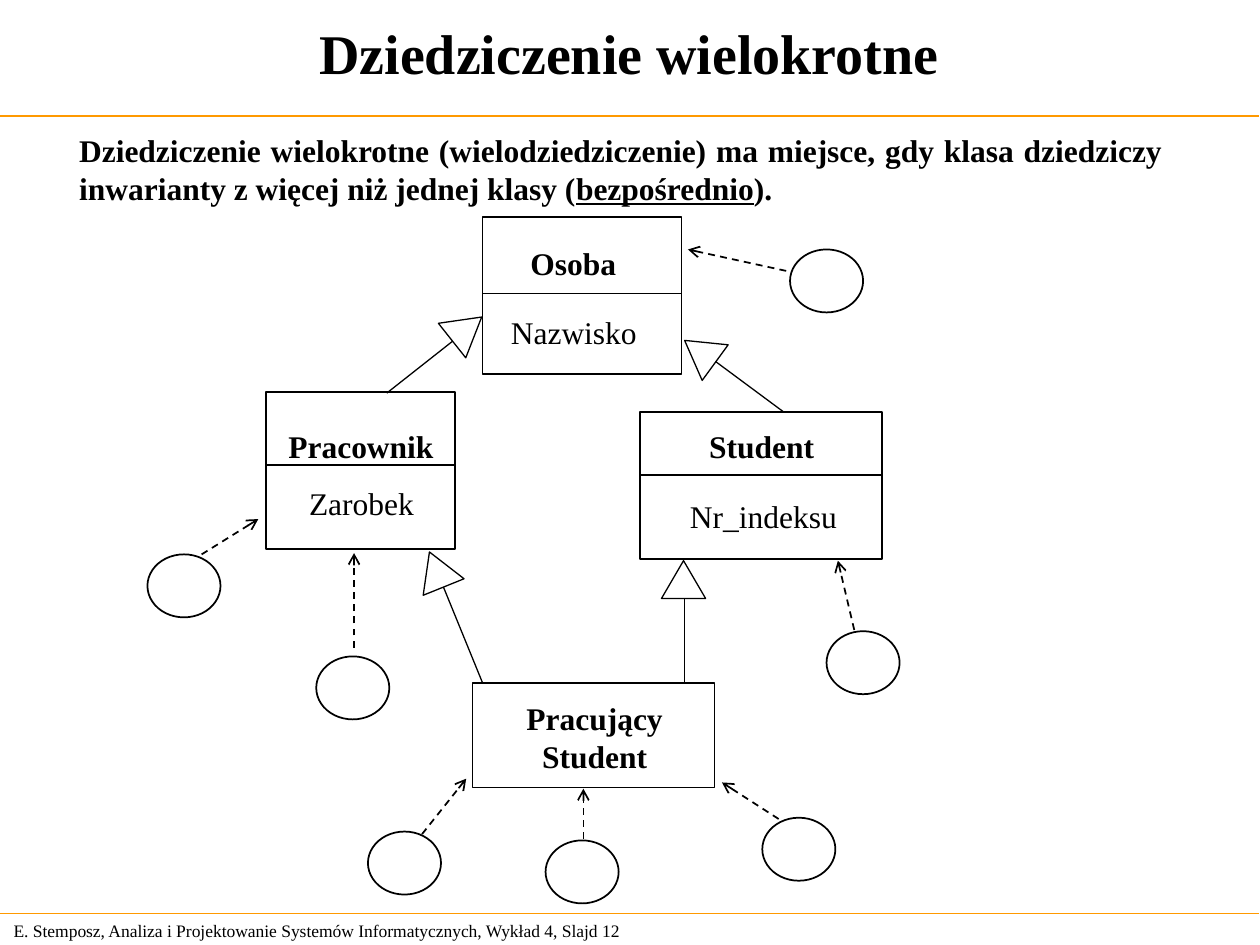
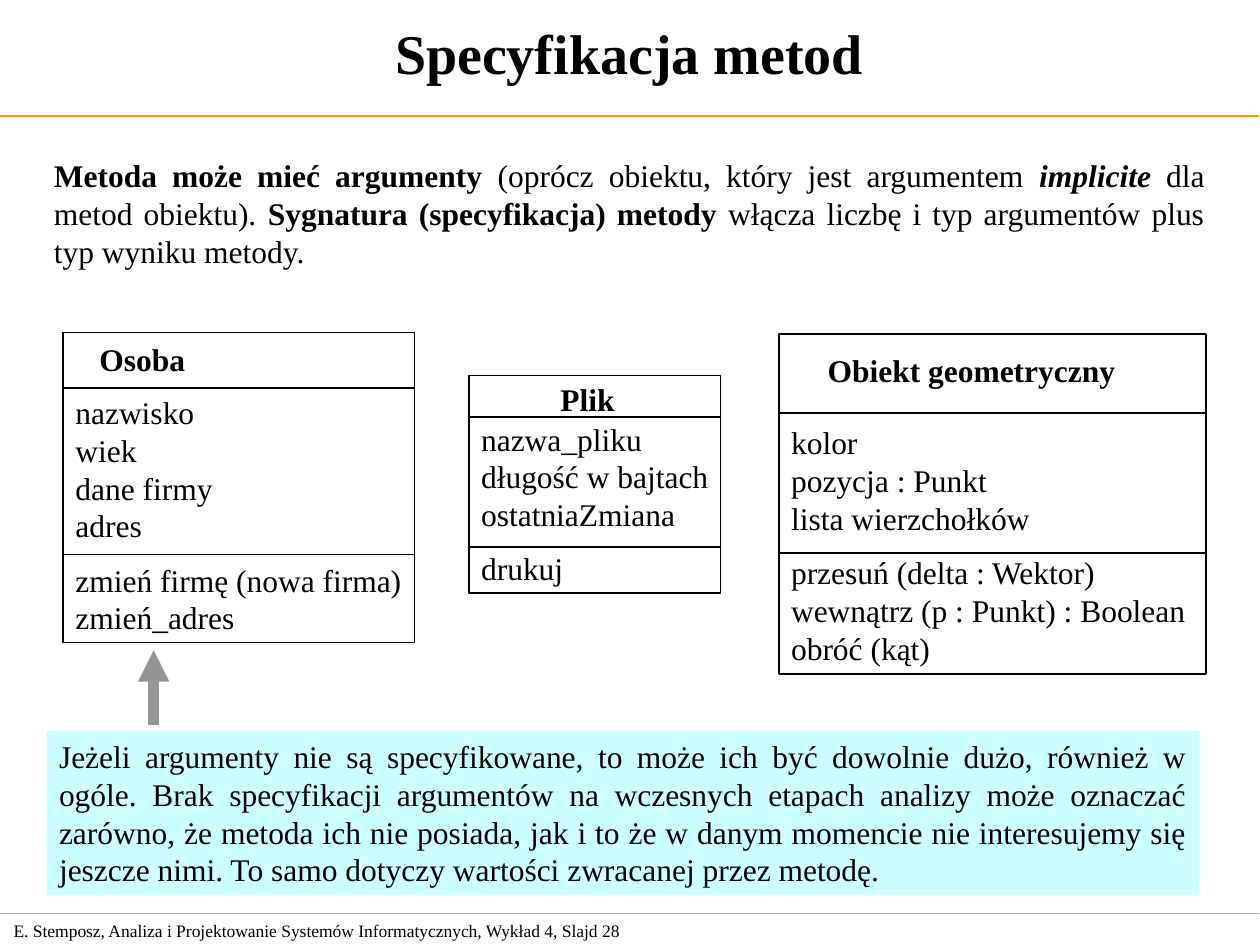
from dataclasses import dataclass

from lxml import etree
from pptx import Presentation
from pptx.dml.color import RGBColor
from pptx.enum.dml import MSO_LINE
from pptx.enum.shapes import MSO_CONNECTOR, MSO_SHAPE
from pptx.enum.text import MSO_ANCHOR, MSO_AUTO_SIZE, PP_ALIGN
from pptx.oxml.ns import qn
from pptx.util import Emu, Pt

RECTANGLE = MSO_SHAPE.RECTANGLE
ROUNDED = MSO_SHAPE.ROUNDED_RECTANGLE
OVAL = MSO_SHAPE.OVAL
TRIANGLE = MSO_SHAPE.ISOSCELES_TRIANGLE
STRAIGHT = MSO_CONNECTOR.STRAIGHT
DASH = MSO_LINE.DASH
TOP, MIDDLE = MSO_ANCHOR.TOP, MSO_ANCHOR.MIDDLE
LEFT, CENTER, JUSTIFY = PP_ALIGN.LEFT, PP_ALIGN.CENTER, PP_ALIGN.JUSTIFY
NO_AUTOSIZE = MSO_AUTO_SIZE.NONE
PX = 9144


@dataclass(frozen=True)
class Theme:
    font: str = "Times New Roman"
    ink: RGBColor = RGBColor(0x00, 0x00, 0x00)
    rule: RGBColor = RGBColor(0xFF, 0x99, 0x00)
    note: RGBColor = RGBColor(0xCC, 0xFF, 0xFF)
    pointer: RGBColor = RGBColor(0x96, 0x96, 0x96)
    title: int = 32
    body: int = 18
    footer: int = 10


THEME = Theme()
BOLD = {"bold": True}


def place(slide, preset, box, paragraphs=(), size=THEME.body, align=LEFT,
          fill=None, outline=None, **frame_format):
    left, top, width, height = [Emu(v * PX) for v in box]
    if preset is None:
        shape = slide.shapes.add_textbox(left, top, width, height)
    else:
        shape = slide.shapes.add_shape(preset, left, top, width, height)
        shape.shadow.inherit = False
        if fill is None:
            shape.fill.background()
        else:
            shape.fill.solid()
            shape.fill.fore_color.rgb = fill
        if outline is None:
            shape.line.fill.background()
        else:
            shape.line.color.rgb = THEME.ink
            shape.line.width = Pt(outline)
    frame = shape.text_frame
    settings = {"word_wrap": True, "auto_size": NO_AUTOSIZE, "vertical_anchor": TOP}
    for key, value in {**settings, **frame_format}.items():
        setattr(frame, key, value)
    for index, runs in enumerate(paragraphs):
        paragraph = frame.add_paragraph() if index else frame.paragraphs[0]
        paragraph.alignment = align
        for text, style in runs:
            run = paragraph.add_run()
            run.text = text
            run.font.color.rgb = THEME.ink
            for key, value in {"name": THEME.font, "size": Pt(size), **style}.items():
                setattr(run.font, key, value)
    return shape


def draw_line(slide, ends, color=THEME.ink, width=1, dash=None, head=None):
    line = slide.shapes.add_connector(STRAIGHT, *[Emu(v * PX) for v in ends])
    line.line.color.rgb = color
    line.line.width = Pt(width)
    if dash:
        line.line.dash_style = dash
    if head:
        outline = line.line._get_or_add_ln()
        etree.SubElement(outline, qn("a:tailEnd"), type=head)
    etree.SubElement(line._element.spPr, qn("a:effectLst"))


deck = Presentation()
deck.slide_width, deck.slide_height = Emu(1000 * PX), Emu(750 * PX)
slides = []
for heading, number in [("Dziedziczenie wielokrotne", 12), ("Specyfikacja metod", 28)]:
    slide = deck.slides.add_slide(deck.slide_layouts[5])
    title = slide.shapes.title
    title.left, title.top, title.width, title.height = [Emu(v * PX) for v in (0, -1, 999, 85)]
    title.text_frame.text = heading
    title.text_frame.auto_size = NO_AUTOSIZE
    title.text_frame.vertical_anchor = MIDDLE
    title_line = title.text_frame.paragraphs[0]
    title_line.alignment = CENTER
    title_line.font.color.rgb = THEME.ink
    for key, value in {"name": THEME.font, "size": Pt(THEME.title), "bold": True}.items():
        setattr(title_line.font, key, value)
    credit = f"E. Stemposz, Analiza i Projektowanie Systemów Informatycznych, Wykład 4, Slajd {number}"
    place(slide, None, (1, 725, 524, 27), [[(credit, {})]], THEME.footer,
          vertical_anchor=MIDDLE)
    for y, width in [(92, 1), (725, 0.75)]:
        draw_line(slide, (-1, y, 999, y), THEME.rule, width)
    slides.append(slide)

inheritance, methods = slides

place(inheritance, None, (53, 99, 880, 70), [[
    ("Dziedziczenie wielokrotne (wielodziedziczenie) ma miejsce, gdy klasa dziedziczy "
     "inwarianty z więcej niż jednej klasy (", BOLD),
    ("bezpośrednio", {"bold": True, "underline": True}),
    (").", BOLD),
]], align=JUSTIFY)

classes = [
    ((383, 172, 158, 125), ["Osoba"], (411, 189, 88, 40), 233, "Nazwisko", (394, 242, 123, 43)),
    ((211, 311, 150, 125), ["Pracownik"], (219, 334, 135, 40), 369, "Zarobek", (234, 378, 106, 43)),
    ((508, 327, 192, 117), ["Student"], (553, 334, 103, 40), 377, "Nr_indeksu", (536, 388, 140, 43)),
    ((375, 542, 192, 83), ["Pracujący", "Student"], (408, 550, 128, 70), None, None, None),
]
for frame_box, name, name_box, divider, attribute, attribute_box in classes:
    place(inheritance, RECTANGLE, frame_box, outline=1)
    place(inheritance, None, name_box, [[(word, BOLD)] for word in name],
          align=CENTER, word_wrap=False)
    if attribute:
        left, _, width, _ = frame_box
        draw_line(inheritance, (left, divider, left + width, divider))
        label = place(inheritance, ROUNDED, attribute_box, [[(attribute, {})]],
                      align=CENTER, word_wrap=False)
        label.adjustments[0] = 0.125

instances = [
    ((627, 198), (624, 215, 546, 198)),
    ((656, 501), (678, 500, 665, 445)),
    ((605, 649), (618, 650, 573, 621)),
    ((433, 667), (463, 666, 463, 626)),
    ((292, 660), (335, 662, 370, 618)),
    ((117, 440), (160, 440, 205, 412)),
    ((251, 521), (281, 514, 281, 439)),
]
for corner, arrow in instances:
    place(inheritance, OVAL, (*corner, 58, 50), outline=1)
    draw_line(inheritance, arrow, dash=DASH, head="arrow")

generalizations = [
    ((353, 246), 51.6, (359, 271, 307, 312)),
    ((538, 264), 306.1, (568, 287, 622, 327)),
    ((525, 445), 0, (543, 475, 543, 542)),
    ((329, 437), 338, (352, 466, 383, 542)),
]
for corner, angle, stem in generalizations:
    place(inheritance, TRIANGLE, (*corner, 35, 30), outline=0.75).rotation = angle
    draw_line(inheritance, stem, width=0.75)

place(methods, RECTANGLE, (37, 580, 915, 130), [[(
    "Jeżeli argumenty nie są specyfikowane, to może ich być dowolnie dużo, również w ogóle. "
    "Brak specyfikacji argumentów na wczesnych etapach analizy może oznaczać zarówno, że "
    "metoda ich nie posiada, jak i to że w danym momencie nie interesujemy się jeszcze nimi. "
    "To samo dotyczy wartości zwracanej przez metodę.", {})]], align=JUSTIFY, fill=THEME.note)

place(methods, None, (33, 119, 933, 100), [[
    ("Metoda może mieć argumenty", BOLD),
    (" (oprócz obiektu, który jest argumentem ", {}),
    ("implicite", {"bold": True, "italic": True}),
    (" dla metod obiektu). ", {}),
    ("Sygnatura (specyfikacja) metody", BOLD),
    (" włącza liczbę i typ argumentów plus typ wyniku metody.", {}),
]], align=JUSTIFY, vertical_anchor=MIDDLE)

specifications = [
    ((50, 264, 279, 246), "Osoba", (69, 265, 88, 40), (308, 440), 48,
     ["nazwisko", "wiek", "dane firmy", "adres"],
     ["zmień firmę (nowa firma)", "zmień_adres"]),
    ((372, 298, 200, 173), "Plik", (435, 297, 63, 40), (331, 434), 35,
     ["nazwa_pliku", "długość w bajtach", "ostatniaZmiana"],
     ["drukuj"]),
    ((618, 265, 339, 270), "Obiekt geometryczny", (647, 274, 248, 40), (328, 439), 71,
     ["kolor", "pozycja : Punkt", "lista wierzchołków"],
     ["przesuń (delta : Wektor)", "wewnątrz (p : Punkt) : Boolean", "obróć (kąt)"]),
]
for frame_box, name, name_box, dividers, inset, attributes, operations in specifications:
    members = place(methods, RECTANGLE, frame_box,
                    [[(member, {})] for member in attributes + operations],
                    outline=1, margin_top=Emu(inset * PX), margin_right=0)
    first_operation = members.text_frame.paragraphs[len(attributes)]
    first_operation.space_before = Emu(13 * PX)
    left, _, width, _ = frame_box
    for y in dividers:
        draw_line(methods, (left, y, left + width, y))
    place(methods, None, name_box, [[(name, BOLD)]], word_wrap=False)

draw_line(methods, (122, 575, 122, 516), THEME.pointer, 6, head="triangle")

deck.save("out.pptx")
